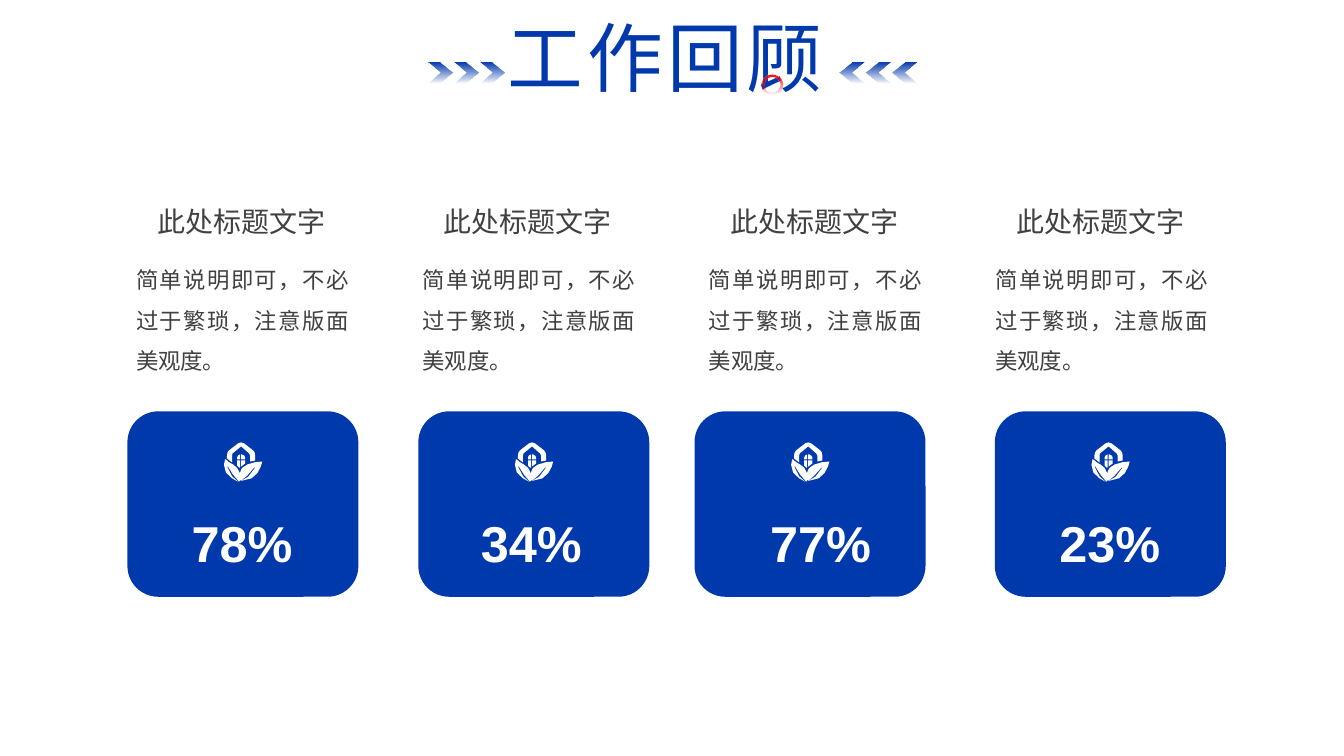
from pptx import Presentation
from pptx.dml.color import RGBColor
from pptx.enum.shapes import MSO_SHAPE as SHAPE
from pptx.enum.text import MSO_AUTO_SIZE as AUTO, PP_ALIGN as ALIGN
from pptx.oxml.ns import qn
from pptx.util import Pt
from lxml import etree

COLORS = {"blue": "0039AC", "navy": "042656", "red": "FF0000",
          "text": "404040", "white": "FFFFFF"}
RGB = {name: RGBColor.from_string(value) for name, value in COLORS.items()}
CJK = "Noto Sans CJK SC"

prs = Presentation()
prs.slide_width, prs.slide_height = Pt(960), Pt(540)
s = prs.slides.add_slide(prs.slide_layouts[6])


def add_outline(contours, x, y, unit):
    """Draw closed contours as one shape; unit is the length of one step."""
    builder = None
    for first, *rest in contours:
        if builder is None:
            builder = s.shapes.build_freeform(*first, scale=unit)
        else:
            builder.move_to(*first)
        builder.add_line_segments(rest, close=True)
    sp = builder.convert_to_shape(Pt(x), Pt(y))
    sp.shadow.inherit = False
    sp.line.fill.background()
    return sp


def add_text(text, x, y, w, h, size, color, align, latin="Arial", wrap=False, inset=0):
    tf = s.shapes.add_textbox(Pt(x), Pt(y), Pt(w), Pt(h)).text_frame
    tf.margin_left = tf.margin_right = Pt(inset)
    tf.margin_top = tf.margin_bottom = Pt(inset / 2)
    tf.word_wrap = wrap
    tf.auto_size = AUTO.SHAPE_TO_FIT_TEXT
    tf.text = text
    p = tf.paragraphs[0]
    p.alignment = align
    r = p.runs[0]
    r.font.size, r.font.name = Pt(size), latin
    r.font.color.rgb = RGB[color]
    etree.SubElement(r.font._element, qn("a:ea"), typeface=CJK)
    return p


# Title with a vertical gradient
p = add_text("工作回顾", 352.8, 4.3, 244.8, 72.7, 54, "blue", ALIGN.CENTER, CJK, inset=7.2)
title_font = p.runs[0].font
title_font._element.set("spc", "300")
title_font.fill.gradient()
title_font.fill.gradient_angle = 270
for stop, name in zip(title_font.fill.gradient_stops, ("blue", "navy")):
    stop.color.rgb = RGB[name]

# Ring and chevrons beside the title, fading out downwards
ring = s.shapes.add_shape(SHAPE.DONUT, Pt(544.3), Pt(53.3), Pt(14.4), Pt(14.4))
ring.adjustments[0] = 0.133
ring.shadow.inherit = False
ring.line.fill.background()
chevron = [(0, 0), (87, 0), (178, 72), (87, 144), (0, 144), (87, 72)]
right_arrows = [[(x + 184 * i, y) for x, y in chevron] for i in range(3)]
left_arrows = [[(546 - x, y) for x, y in arrow] for arrow in right_arrows]
faded = [(ring, "red")]
for arrows, x in ((right_arrows, 306), (left_arrows, 599.8)):
    faded.append((add_outline(arrows, x, 44.6, Pt(0.1)), "blue"))
for sp, name in faded:
    sp.fill.gradient()
    sp.fill.gradient_angle = 270
    for stop in sp.fill.gradient_stops:
        stop.color.rgb = RGB[name]
    last_color = sp._element.spPr.findall(".//" + qn("a:srgbClr"))[-1]
    etree.SubElement(last_color, qn("a:alpha"), val="0")

# House-and-leaves icon, in thousandths of an inch
right_leaf = [(380, 190), (366, 240), (332, 304), (273, 357), (180, 380), (175, 380),
              (241, 341), (310, 250), (300, 250), (231, 330), (170, 380), (160, 370),
              (160, 300), (170, 270), (185, 250), (230, 220), (307, 197)]
left_leaf = [(20, 170), (47, 195), (90, 220), (131, 253), (150, 290), (160, 310),
             (160, 380), (150, 390), (91, 322), (40, 240), (30, 240), (81, 337),
             (140, 390), (80, 357), (20, 300), (0, 224), (10, 170)]
panes = [[(170, 180), (210, 180), (210, 210), (170, 240)],
         [(130, 180), (160, 180), (160, 250), (150, 250), (130, 230)],
         [(170, 120), (180, 120), (202, 132), (210, 150), (210, 170), (170, 170)],
         [(160, 120), (160, 170), (130, 170), (130, 150), (140, 130)]]
roof = [(170, 0), (200, 10), (290, 80), (305, 102), (310, 130), (310, 180), (260, 190),
        (260, 130), (250, 110), (170, 40), (85, 110), (80, 130), (80, 200), (30, 160),
        (30, 130), (35, 102), (50, 80), (140, 10)]
icon = [right_leaf, left_leaf, *panes, roof]

# Cards
for x in (91, 298.8, 496.1, 710.6):
    card = s.shapes.add_shape(SHAPE.ROUNDED_RECTANGLE, Pt(x), Pt(293.8), Pt(165), Pt(132.5))
    card.shadow.inherit = False
    card.fill.solid()
    card.fill.fore_color.rgb = RGB["blue"]
    card.line.fill.background()
    house = add_outline(icon, x + 69, 316, Pt(0.072))
    house.fill.solid()
    house.fill.fore_color.rgb = RGB["white"]

# Headings, descriptions and percentages
for i, percent in enumerate(("78%", "34%", "77%", "23%")):
    x = 97.2 + 204.6 * i
    add_text("此处标题文字", x + 15.2, 146.2, 121, 24.5, 20, "text", ALIGN.JUSTIFY)
    p = add_text("简单说明即可，不必过于繁琐，注意版面美观度。", x, 180.7, 152, 83.5, 16,
                 "text", ALIGN.JUSTIFY, wrap=True)
    p.line_spacing = 1.5
    p = add_text(percent, 135.4 + 206.6 * i, 365.8, 75, 44, 36, "white", ALIGN.CENTER)
    p.runs[0].font.bold = True

prs.save("out.pptx")
